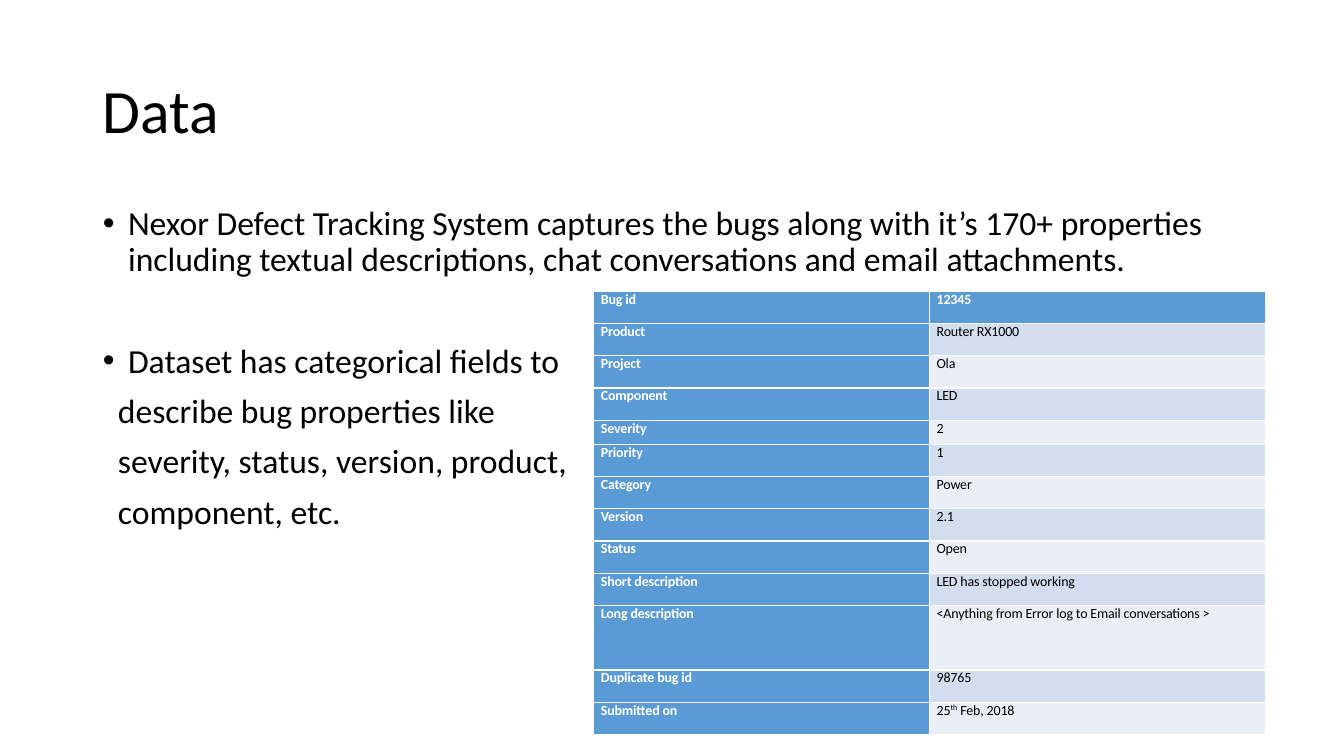
from dataclasses import dataclass

import lxml.etree
import pptx
import pptx.dml.color
import pptx.enum.text
import pptx.oxml.ns
import pptx.util

Inches = pptx.util.Inches
Pt = pptx.util.Pt
Align = pptx.enum.text.PP_ALIGN
Anchor = pptx.enum.text.MSO_ANCHOR
Fit = pptx.enum.text.MSO_AUTO_SIZE


@dataclass(frozen=True)
class Theme:
    font: str = "Calibri"
    ink: str = "000000"
    white: str = "FFFFFF"
    blue: str = "5B9BD5"
    bands: tuple = ("EAEFF7", "D2DEEF")
    title: int = 44
    body: int = 24
    cell: int = 10


THEME = Theme()

# Text, space before in points, whether it has a bullet
POINTS = [
    ("Nexor Defect Tracking System captures the bugs along with it’s 170+ properties "
     "including textual descriptions, chat conversations and email attachments.", 10, True),
    ("Dataset has categorical fields to", 46.4, True),
    ("describe bug properties like", 10, False),
    ("severity, status, version, product,", 10, False),
    ("component, etc.", 10, False),
]

FIELDS = [
    ("Bug id", "12345"),
    ("Product", "Router RX1000"),
    ("Project", "Ola"),
    ("Component", "LED"),
    ("Severity", "2"),
    ("Priority", "1"),
    ("Category", "Power"),
    ("Version", "2.1"),
    ("Status", "Open"),
    ("Short description", "LED has stopped working"),
    ("Long description", "<Anything from Error log to Email conversations >"),
    ("Duplicate bug id", "98765"),
    ("Submitted on", "25^th^ Feb, 2018"),
]
ROW = 0.32
HEIGHTS = {"Severity": 0.24, "Long description": 2 * ROW}


def color(code):
    return pptx.dml.color.RGBColor.from_string(code)


def write(para, text, size, ink=THEME.ink, bold=False, align=Align.LEFT,
          line=0.9, before=0, after=0, track=0):
    """Fill a paragraph; text between two carets is superscript."""
    para.alignment = align
    para.line_spacing = line
    para.space_before = Pt(before)
    para.space_after = Pt(after)
    for i, part in enumerate(text.split("^")):
        run = para.add_run()
        run.text = part
        run.font.name = THEME.font
        run.font.size = Pt(size)
        run.font.bold = bold
        run.font.color.rgb = color(ink)
        props = run._r.get_or_add_rPr()
        if track:
            props.set("spc", str(track))
        if i % 2:
            props.set("baseline", "30000")


def indent(para, left, hang=0, bullet=None):
    props = para._p.get_or_add_pPr()
    props.set("marL", str(Inches(left)))
    props.set("indent", str(Inches(-hang)))
    name = pptx.oxml.ns.qn
    if bullet:
        lxml.etree.SubElement(props, name("a:buFont"), typeface="Arial")
        lxml.etree.SubElement(props, name("a:buChar"), char=bullet)
    else:
        lxml.etree.SubElement(props, name("a:buNone"))


def place(shape, left, top, width, height, anchor):
    shape.left, shape.top = Inches(left), Inches(top)
    shape.width, shape.height = Inches(width), Inches(height)
    frame = shape.text_frame
    frame.word_wrap = True
    frame.auto_size = Fit.NONE
    frame.vertical_anchor = anchor
    return frame


def add_title(slide, text):
    frame = place(slide.shapes.title, 0.92, 0.4, 11.5, 1.45, Anchor.MIDDLE)
    write(frame.paragraphs[0], text, THEME.title)


def add_list(slide, points):
    frame = place(slide.placeholders[1], 0.92, 2, 11.5, 4.76, Anchor.TOP)
    for i, (text, before, bullet) in enumerate(points):
        para = frame.add_paragraph() if i else frame.paragraphs[0]
        write(para, text, THEME.body, before=before)
        if bullet:
            indent(para, 0.25, 0.25, "•")
        else:
            indent(para, 0.15)


def fill_cell(cell, text, fill, ink, bold):
    cell.margin_left = cell.margin_right = Inches(0.07)
    cell.margin_top = cell.margin_bottom = 0
    cell.fill.solid()
    cell.fill.fore_color.rgb = color(fill)
    write(cell.text_frame.paragraphs[0], text, THEME.cell, ink=ink, bold=bold,
          align=Align.JUSTIFY, line=0.95, after=6, track=-10)


def add_fields(slide, fields):
    tall = [HEIGHTS.get(name, ROW) for name, _ in fields]
    table = slide.shapes.add_table(len(fields), 2, Inches(5.89), Inches(2.89),
                                   Inches(6.66), Inches(sum(tall))).table
    table.first_col = True
    for r, pair in enumerate(fields):
        table.rows[r].height = Inches(tall[r])
        for c, text in enumerate(pair):
            head = r == 0 or c == 0
            fill_cell(table.cell(r, c), text,
                      fill=THEME.blue if head else THEME.bands[r % 2],
                      ink=THEME.white if head else THEME.ink, bold=head)


def main():
    deck = pptx.Presentation()
    deck.slide_width, deck.slide_height = Inches(13.33), Inches(7.5)
    slide = deck.slides.add_slide(deck.slide_layouts[1])
    add_title(slide, "Data")
    add_list(slide, POINTS)
    add_fields(slide, FIELDS)
    deck.save("out.pptx")


if __name__ == "__main__":
    main()
